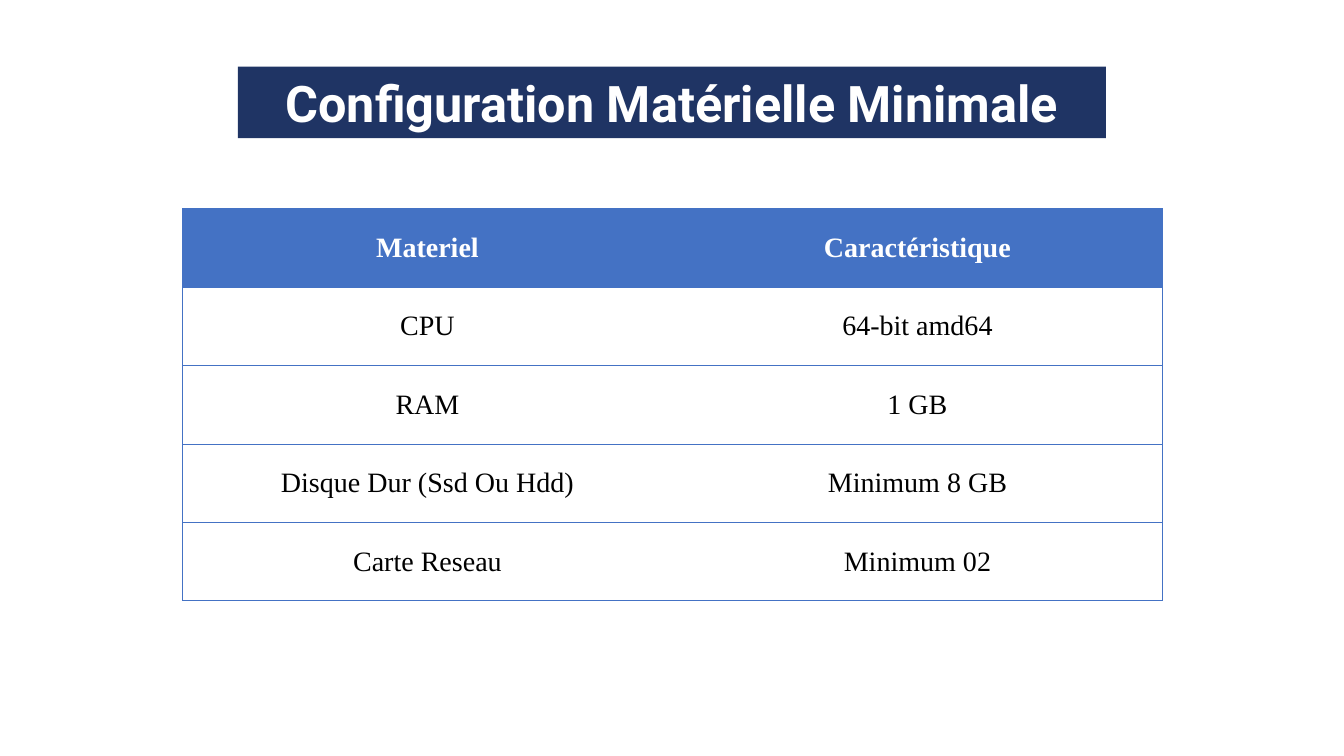
from dataclasses import dataclass

from lxml import etree
from pptx import Presentation
from pptx import util as u
from pptx.dml.color import RGBColor
from pptx.enum import text
from pptx.oxml import ns

PX = 9144  # EMU per px, 100 px to the inch


@dataclass(frozen=True)
class Theme:
    navy: str = "1F3464"
    blue: str = "4472C4"
    white: str = "FFFFFF"
    black: str = "000000"
    title_font: str = "Roboto"
    table_font: str = "Times New Roman"
    title_size: int = 36
    table_size: int = 20
    border: float = 0.5


theme = Theme()


def write(text_frame, words, font_name, size, color, bold):
    """Put one centred, formatted line into a text frame."""
    text_frame.text = words
    paragraph = text_frame.paragraphs[0]
    paragraph.alignment = text.PP_ALIGN.CENTER
    font = paragraph.runs[0].font
    font.name, font.size, font.bold = font_name, u.Pt(size), bold
    font.color.rgb = RGBColor.from_string(color)


def set_borders(cell, visible_sides):
    """Rule the given sides (of L, R, T, B) and leave the others blank."""
    properties = cell._tc.get_or_add_tcPr()
    for index, side in enumerate("LRTB"):
        line = etree.Element(ns.qn(f"a:ln{side}"), w=str(u.Pt(theme.border)))
        if side in visible_sides:
            fill = etree.SubElement(line, ns.qn("a:solidFill"))
            etree.SubElement(fill, ns.qn("a:srgbClr"), val=theme.blue)
        else:
            etree.SubElement(line, ns.qn("a:noFill"))
        properties.insert(index, line)


presentation = Presentation()
presentation.slide_width, presentation.slide_height = 1333 * PX, 750 * PX
slide = presentation.slides.add_slide(presentation.slide_layouts[5])

# Title banner
title = slide.shapes.title
title.left, title.top, title.width, title.height = 236 * PX, 66 * PX, 861 * PX, 71 * PX
title.fill.solid()
title.fill.fore_color.rgb = RGBColor.from_string(theme.navy)
title.text_frame.auto_size = text.MSO_AUTO_SIZE.NONE
title.text_frame.vertical_anchor = text.MSO_ANCHOR.MIDDLE
write(title.text_frame, "Configuration Matérielle Minimale",
      theme.title_font, theme.title_size, theme.white, True)

# Hardware table
hardware = [
    ("Materiel", "Caractéristique"),
    ("CPU", "64-bit amd64"),
    ("RAM", "1 GB"),
    ("Disque Dur (Ssd Ou Hdd)", "Minimum 8 GB"),
    ("Carte Reseau", "Minimum 02"),
]
table = slide.shapes.add_table(len(hardware), 2, 181 * PX, 207 * PX, 972 * PX, 389 * PX).table
table.horz_banding = False

for row_index, row in enumerate(hardware):
    is_header = row_index == 0
    for column_index, words in enumerate(row):
        cell = table.cell(row_index, column_index)
        cell.vertical_anchor = text.MSO_ANCHOR.MIDDLE
        if is_header:
            cell.fill.solid()
            cell.fill.fore_color.rgb = RGBColor.from_string(theme.blue)
        else:
            cell.fill.background()
        write(cell.text_frame, words, theme.table_font, theme.table_size,
              theme.white if is_header else theme.black, is_header)
        set_borders(cell, "LTB" if column_index == 0 else "RTB")

presentation.save("out.pptx")
